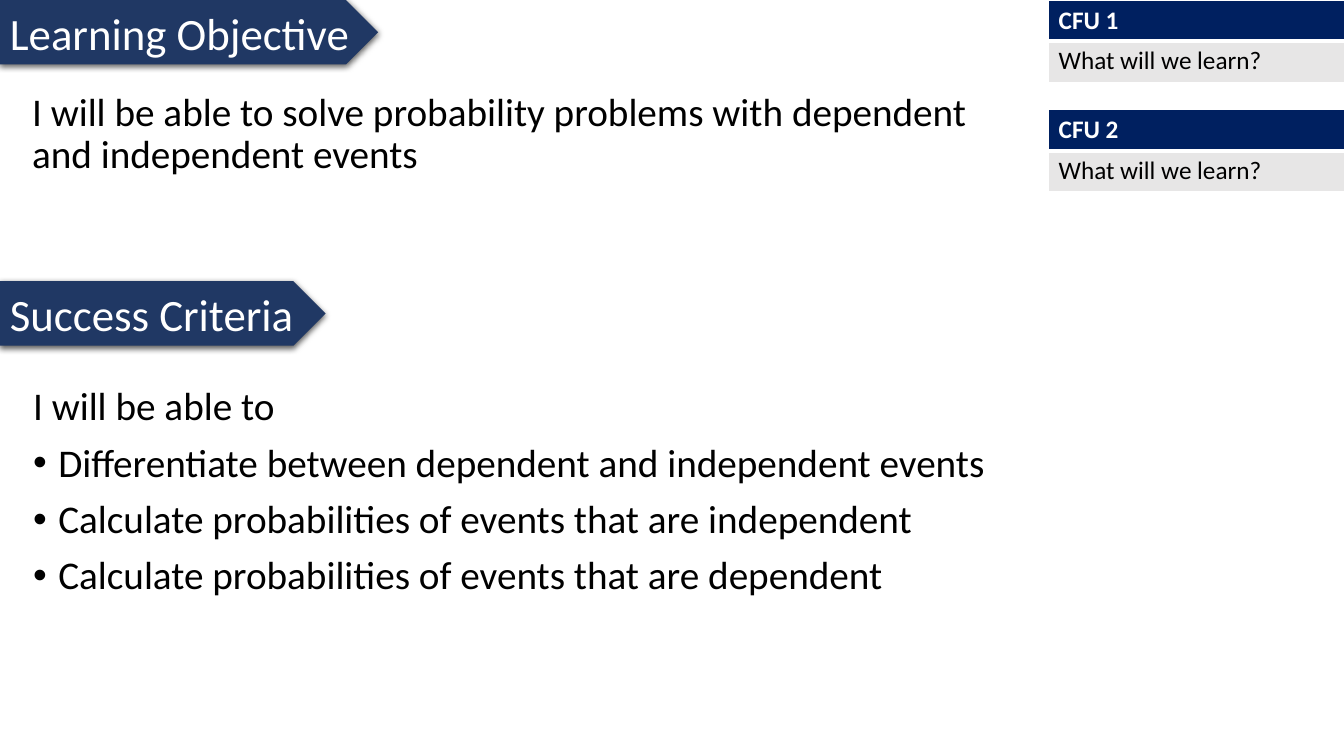
import pptx
import pptx.util
import pptx.oxml
import pptx.dml.color
import pptx.enum.shapes
import pptx.enum.text
from lxml import etree

Inches = pptx.util.Inches
Pt = pptx.util.Pt
NS = 'xmlns:a="http://schemas.openxmlformats.org/drawingml/2006/main"'
NAVY, BLUE, GREY, WHITE, BLACK = "203864", "002060", "E7E6E6", "FFFFFF", "000000"


def paint(item, color):
    """Give a shape, cell or font a solid colour."""
    fill = item if hasattr(item, "fore_color") else item.fill
    fill.solid()
    fill.fore_color.rgb = pptx.dml.color.RGBColor.from_string(color)


def write(frame, text, size=28, color=BLACK, bold=False, line=None, gap=0, bullet=False):
    """Fill the empty first paragraph, or add one with the gap above it."""
    par = frame.paragraphs[0]
    if par.runs:
        par = frame.add_paragraph()
        par.space_before = Pt(gap)
    par.alignment = pptx.enum.text.PP_ALIGN.LEFT
    par.line_spacing = line
    if bullet:
        props = par._p.get_or_add_pPr()
        props.set("marL", str(Inches(0.25)))
        props.set("indent", str(-Inches(0.25)))
        props.append(pptx.oxml.parse_xml(f'<a:buFont {NS} typeface="Arial"/>'))
        props.append(pptx.oxml.parse_xml(f'<a:buChar {NS} char="•"/>'))
    run = par.add_run()
    run.text = text
    run.font.name = "Calibri"
    run.font.size = Pt(size)
    run.font.bold = bold
    paint(run.font, color)


deck = pptx.Presentation()
deck.slide_width, deck.slide_height = Inches(13.33), Inches(7.5)
slide = deck.slides.add_slide(deck.slide_layouts[6])
shapes = slide.shapes

# Section banners
for title, top, width in [("Learning Objective", 0, 3.75), ("Success Criteria", 2.79, 3.23)]:
    banner = shapes.add_shape(pptx.enum.shapes.MSO_SHAPE.PENTAGON,
                              0, Inches(top), Inches(width), Inches(0.64))
    paint(banner, NAVY)
    banner.line.fill.background()
    banner.shadow.inherit = False
    effects = banner._element.spPr.find("{*}effectLst")
    effects.append(pptx.oxml.parse_xml(
        f'<a:outerShdw {NS} blurRad="{Pt(4.5)}" dist="{Pt(1.5)}" dir="5400000" rotWithShape="0">'
        f'<a:srgbClr val="{BLACK}"><a:alpha val="63000"/></a:srgbClr></a:outerShdw>'))
    banner.text_frame.word_wrap = True
    write(banner.text_frame, title, size=32, color=WHITE)

# Check-for-understanding tables
for label, top in [("CFU 1", 0), ("CFU 2", 1.09)]:
    table = shapes.add_table(2, 1, Inches(10.4), Inches(top), Inches(2.94), Inches(0.8)).table
    rows = [(label, 0.39, BLUE, WHITE, True, 3),
            ("What will we learn?", 0.41, GREY, BLACK, False, 1)]
    for index, (text, height, back, color, bold, base) in enumerate(rows):
        table.rows[index].height = Inches(height)
        cell = table.cell(index, 0)
        write(cell.text_frame, text, size=18, color=color, bold=bold)
        paint(cell, back)
        props = cell._tc.get_or_add_tcPr()
        top_line = 3 if index else 1
        edges = [("lnL", 1), ("lnR", 1), ("lnT", top_line), ("lnB", base)]
        for place, (edge, weight) in enumerate(edges):
            props.insert(place, pptx.oxml.parse_xml(
                f'<a:{edge} {NS} w="{Pt(weight)}"><a:solidFill>'
                f'<a:srgbClr val="{WHITE}"/></a:solidFill></a:{edge}>'))

# Goal and criteria
goal = ["I will be able to solve probability problems with dependent and independent events"]
steps = ["I will be able to",
         "Differentiate between dependent and independent events",
         "Calculate probabilities of events that are independent",
         "Calculate probabilities of events that are dependent"]
for lines, left, top, width in [(goal, 0.22, 0.87, 9.7), (steps, 0.23, 3.79, 11.56)]:
    box = shapes.add_textbox(Inches(left), Inches(top), Inches(width), Inches(2.5))
    box.text_frame.word_wrap = True
    for index, text in enumerate(lines):
        write(box.text_frame, text, line=0.9, gap=10, bullet=index > 0)

deck.save("out.pptx")
